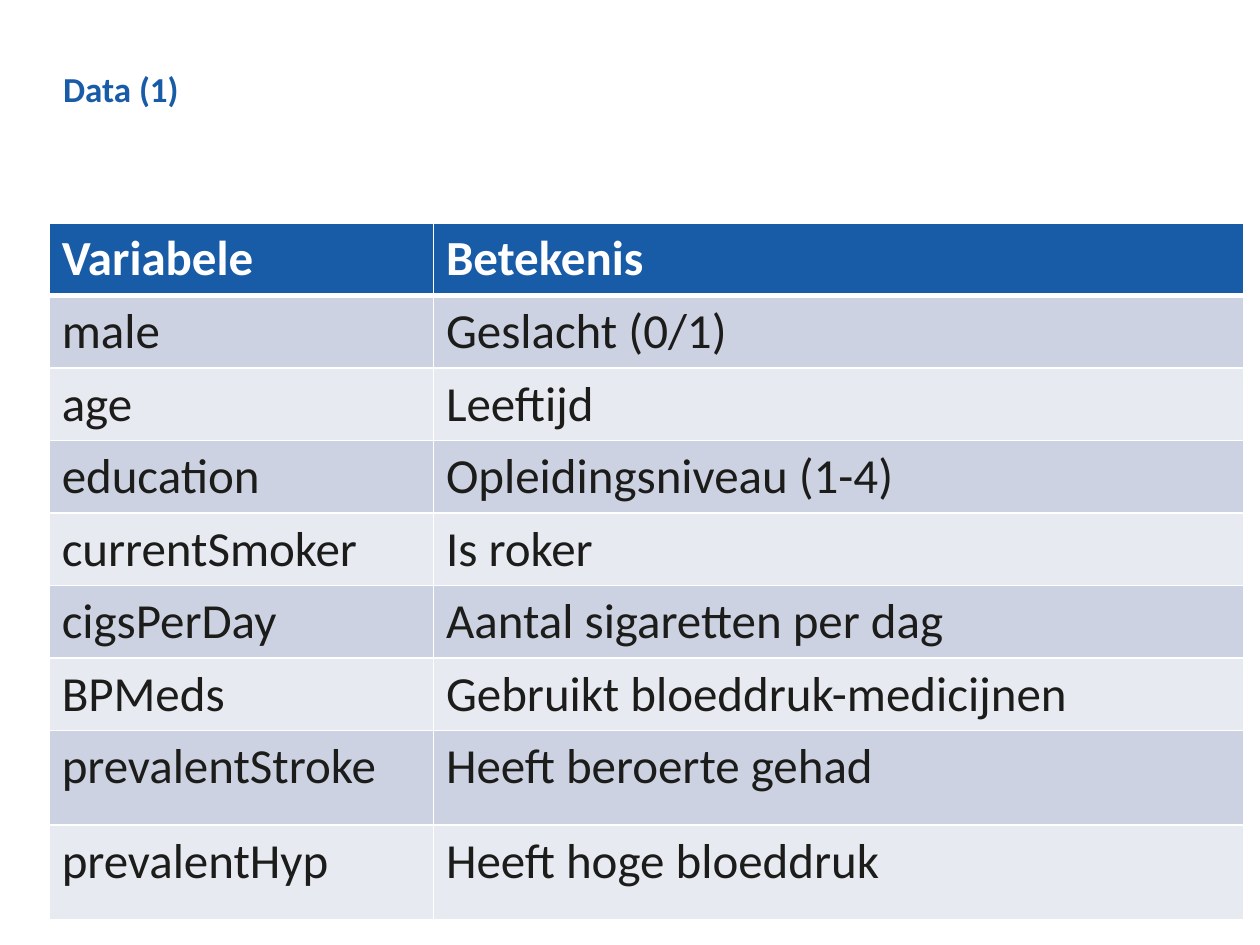
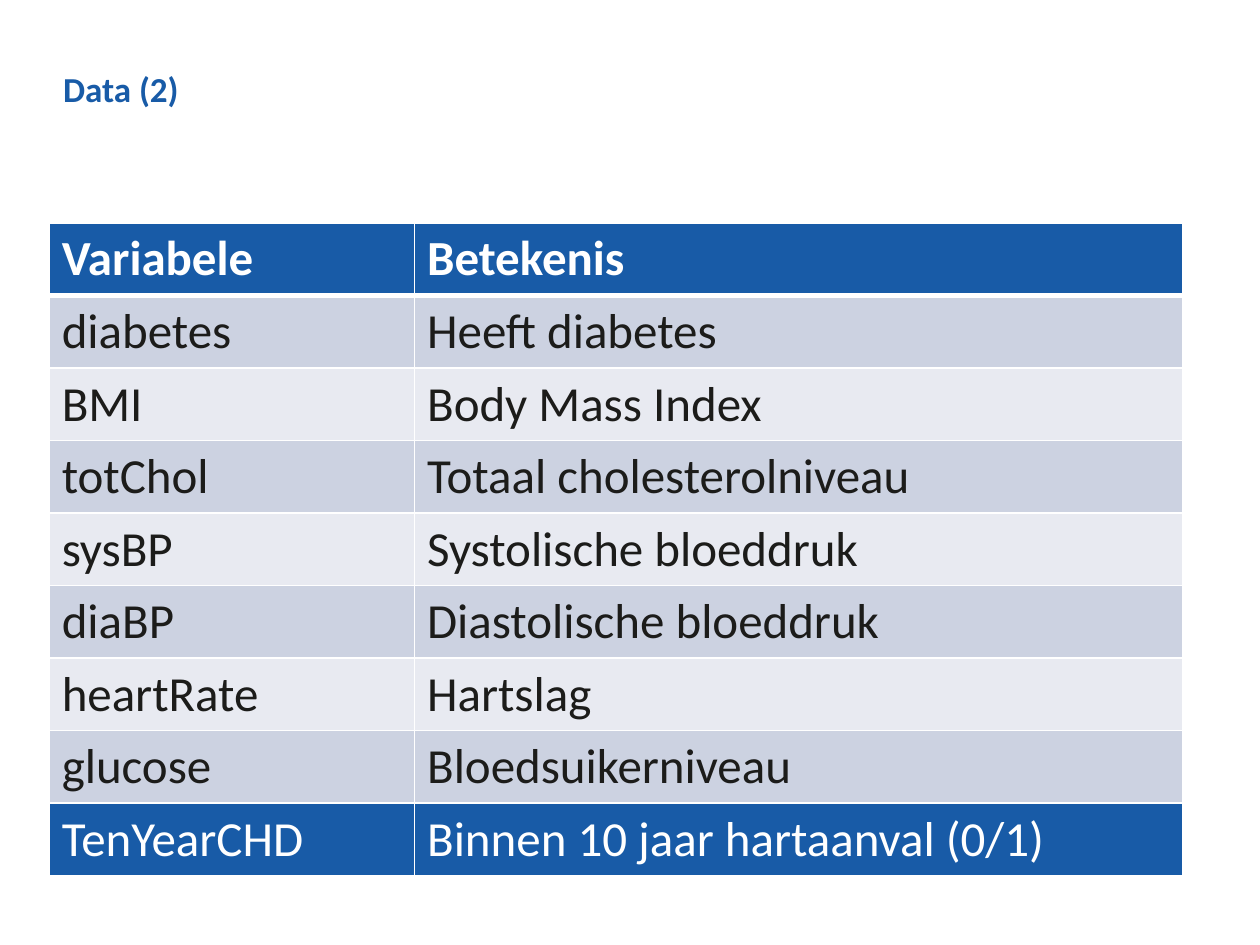
"""Build two slides that list the variables of a heart study and their meanings."""
from lxml.etree import SubElement
from pptx import Presentation
from pptx.dml.color import RGBColor
from pptx.enum.text import MSO_ANCHOR, PP_ALIGN
from pptx.oxml.ns import qn
from pptx.util import Inches, Pt

COLORS = {"blue": "185BA7", "dark": "1C1C1A", "white": "FFFFFF",
          "odd": "CCD2E1", "even": "E8EAF1"}
FONT = "Calibri"
HEADER = ("Variabele", "Betekenis")
ROW_HEIGHT = 0.57
TABLE_LEFT, TABLE_TOP = 0.39, 1.77

SLIDES = [
    {
        "title": "Data (1)",
        "columns": (3.05, 6.43),
        "tall_rows": {7: 0.75, 8: 0.75},
        "highlighted": (),
        "variables": [
            ("male", "Geslacht (0/1)"),
            ("age", "Leeftijd"),
            ("education", "Opleidingsniveau (1-4)"),
            ("currentSmoker", "Is roker"),
            ("cigsPerDay", "Aantal sigaretten per dag"),
            ("BPMeds", "Gebruikt bloeddruk-medicijnen"),
            ("prevalentStroke", "Heeft beroerte gehad"),
            ("prevalentHyp", "Heeft hoge bloeddruk"),
        ],
    },
    {
        "title": "Data (2)",
        "columns": (2.9, 6.1),
        "tall_rows": {},
        "highlighted": ("TenYearCHD",),
        "variables": [
            ("diabetes", "Heeft diabetes"),
            ("BMI", "Body Mass Index"),
            ("totChol", "Totaal cholesterolniveau"),
            ("sysBP", "Systolische bloeddruk"),
            ("diaBP", "Diastolische bloeddruk"),
            ("heartRate", "Hartslag"),
            ("glucose", "Bloedsuikerniveau"),
            ("TenYearCHD", "Binnen 10 jaar hartaanval (0/1)"),
        ],
    },
]


def rgb(name):
    return RGBColor.from_string(COLORS[name])


def style_paragraph(paragraph, size, color, bold):
    font = paragraph.font
    font.name, font.size, font.bold = FONT, Pt(size), bold
    font.color.rgb = rgb(color)


def add_title(slide, text):
    title = slide.shapes.title
    title.left, title.top = Inches(0.5), Inches(0.3)
    title.width, title.height = Inches(9), Inches(0.85)
    frame = title.text_frame
    frame.text = text
    frame.vertical_anchor = MSO_ANCHOR.MIDDLE
    frame.margin_left = frame.margin_right = 0
    frame.margin_top = frame.margin_bottom = 0
    paragraph = frame.paragraphs[0]
    paragraph.alignment = PP_ALIGN.LEFT
    paragraph.line_spacing = 0.9
    style_paragraph(paragraph, 20, "blue", True)


def set_borders(cell, top, bottom):
    properties = cell._tc.get_or_add_tcPr()
    for side, width in (("L", 1), ("R", 1), ("T", top), ("B", bottom)):
        line = SubElement(properties, qn(f"a:ln{side}"), w=str(Pt(width)))
        fill = SubElement(line, qn("a:solidFill"))
        SubElement(fill, qn("a:srgbClr"), val=COLORS["white"])


def row_colors(row, name, highlighted):
    if row == 0 or name in highlighted:
        return "blue", "white"
    return ("odd" if row % 2 else "even"), "dark"


def add_variable_table(slide, content):
    records = [HEADER, *content["variables"]]
    widths = content["columns"]
    heights = [content["tall_rows"].get(row, ROW_HEIGHT) for row in range(len(records))]
    table = slide.shapes.add_table(
        len(records), len(widths), Inches(TABLE_LEFT), Inches(TABLE_TOP),
        Inches(sum(widths)), Inches(sum(heights))).table
    for column, width in zip(table.columns, widths):
        column.width = Inches(width)
    for row, (record, height) in enumerate(zip(records, heights)):
        table.rows[row].height = Inches(height)
        fill, color = row_colors(row, record[0], content["highlighted"])
        for column, text in enumerate(record):
            cell = table.cell(row, column)
            cell.text = text
            style_paragraph(cell.text_frame.paragraphs[0], 28, color, row == 0)
            set_borders(cell, top=3 if row == 1 else 1, bottom=3 if row == 0 else 1)
            cell.fill.solid()
            cell.fill.fore_color.rgb = rgb(fill)


def main():
    presentation = Presentation()
    presentation.slide_width, presentation.slide_height = Inches(10), Inches(7.5)
    title_only = presentation.slide_layouts[5]
    for content in SLIDES:
        slide = presentation.slides.add_slide(title_only)
        add_title(slide, content["title"])
        add_variable_table(slide, content)
    presentation.save("out.pptx")


if __name__ == "__main__":
    main()
